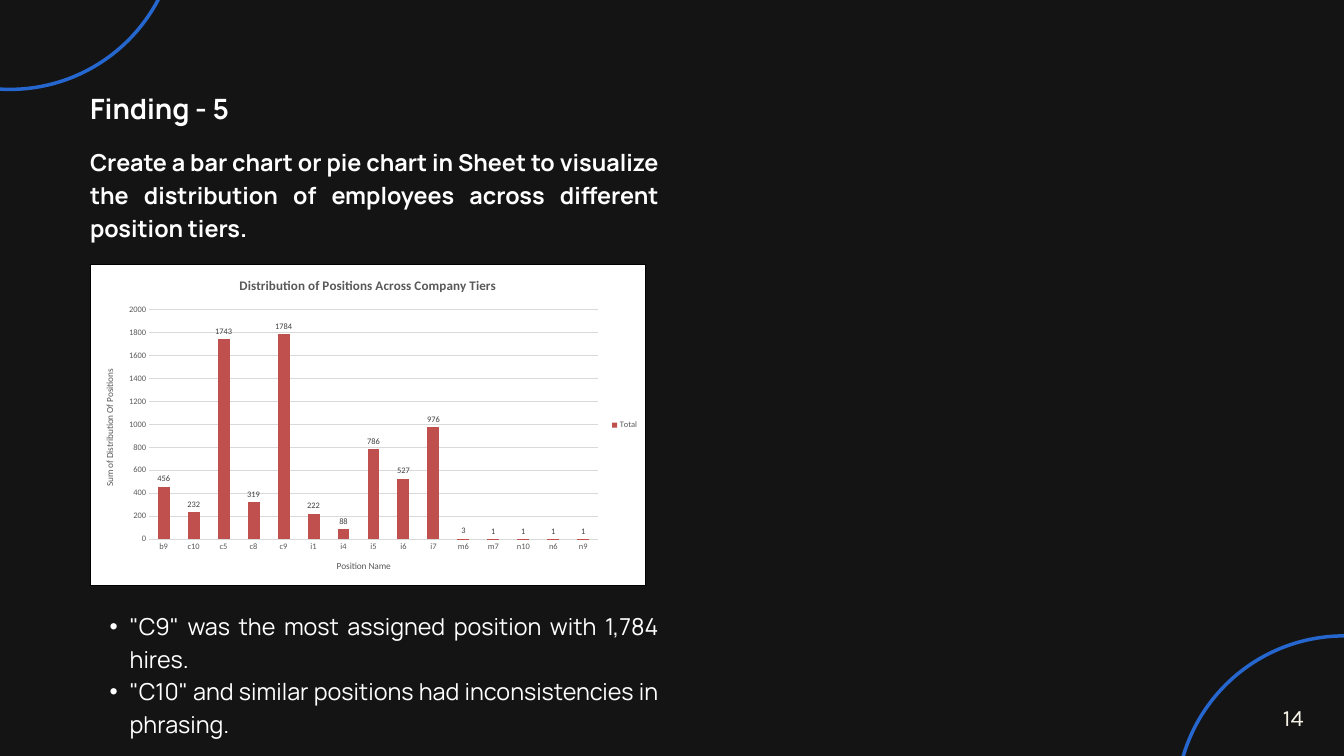
from lxml import etree
from pptx import Presentation
from pptx.chart.data import CategoryChartData
from pptx.dml.color import RGBColor
from pptx.enum.chart import XL_CHART_TYPE, XL_LABEL_POSITION, XL_LEGEND_POSITION, XL_TICK_MARK
from pptx.enum.shapes import MSO_SHAPE
from pptx.enum.text import PP_ALIGN
from pptx.oxml import parse_xml
from pptx.oxml.ns import nsdecls, qn
from pptx.util import Pt

WHITE, INK, BLUE, CREAM = "FFFFFF", "141414", "2666CF", "F5F2E7"
GREY, LABEL_GREY, GRID_GREY, RED, BLACK = "595959", "404040", "D9D9D9", "C0504D", "000000"
POSITIONS = {
    "b9": 456, "c10": 232, "c5": 1743, "c8": 319, "c9": 1784,
    "i1": 222, "i4": 88, "i5": 786, "i6": 527, "i7": 976,
    "m6": 3, "m7": 1, "n10": 1, "n6": 1, "n9": 1,
}


def color(value):
    """Turn a hex string into a colour."""
    return RGBColor.from_string(value)


def style_font(font, size, shade, name, bold=False):
    """Set the size, colour, face and weight of a font."""
    font.size, font.name, font.bold = Pt(size), name, bold
    font.color.rgb = color(shade)


def add_ring(slide, left, top, diameter):
    """Draw an outlined decorative circle."""
    ring = slide.shapes.add_shape(
        MSO_SHAPE.OVAL, Pt(left), Pt(top), Pt(diameter), Pt(diameter))
    ring.shadow.inherit = False
    ring.fill.background()
    ring.line.color.rgb = color(BLUE)
    ring.line.width = Pt(3.75)


def add_bullet(paragraph):
    """Give a paragraph a hanging round bullet."""
    paragraph.level = 1
    properties = paragraph._p.get_or_add_pPr()
    properties.set("marL", str(Pt(42.5)))
    properties.set("indent", str(-Pt(21.6)))
    face = etree.SubElement(properties, qn("a:buFont"))
    face.set("typeface", "Arial")
    mark = etree.SubElement(properties, qn("a:buChar"))
    mark.set("char", "•")


def add_text(slide, box, lines, size=25, spacing=35, shade=WHITE, face="Manrope",
             bold=False, align=PP_ALIGN.JUSTIFY, bulleted=False):
    """Place paragraphs in a box without margins."""
    frame = slide.shapes.add_textbox(*map(Pt, box)).text_frame
    frame.word_wrap = True
    frame.margin_left = frame.margin_top = frame.margin_right = frame.margin_bottom = 0
    for index, line in enumerate(lines):
        paragraph = frame.add_paragraph() if index else frame.paragraphs[0]
        paragraph.alignment = align
        paragraph.line_spacing = Pt(spacing)
        if bulleted:
            add_bullet(paragraph)
        run = paragraph.add_run()
        run.text = line
        style_font(run.font, size, shade, face, bold)


def add_chart_title(owner, wording, size, bold=False):
    """Title a chart or an axis."""
    run = owner.text_frame.paragraphs[0].add_run()
    run.text = wording
    style_font(run.font, size, GREY, "Calibri", bold)


def style_axis(axis, title):
    """Title an axis and hide its line and ticks."""
    axis.major_tick_mark = axis.minor_tick_mark = XL_TICK_MARK.NONE
    axis.format.line.fill.background()
    style_font(axis.tick_labels.font, 9, GREY, "Calibri")
    add_chart_title(axis.axis_title, title, 10)


def frame_chart(chart):
    """Set the plot position, the white ground and the black border."""
    plot_area = chart._chartSpace.chart.plotArea
    for layout in plot_area.findall(qn("c:layout")):
        plot_area.remove(layout)
    plot_area.insert(0, parse_xml(
        f'<c:layout {nsdecls("c")}><c:manualLayout><c:layoutTarget val="inner"/>'
        '<c:xMode val="edge"/><c:yMode val="edge"/><c:x val="0.105"/><c:y val="0.14"/>'
        '<c:w val="0.81"/><c:h val="0.715"/></c:manualLayout></c:layout>'))
    ground = parse_xml(
        f'<c:spPr {nsdecls("c", "a")}><a:solidFill><a:srgbClr val="{WHITE}"/></a:solidFill>'
        f'<a:ln w="{Pt(0.75)}"><a:solidFill><a:srgbClr val="{BLACK}"/></a:solidFill></a:ln></c:spPr>')
    chart._chartSpace.chart.addnext(ground)


def add_positions_chart(slide, box):
    """Chart the number of hires for each position."""
    data = CategoryChartData()
    data.categories = list(POSITIONS)
    data.add_series("Total", list(POSITIONS.values()))
    chart = slide.shapes.add_chart(
        XL_CHART_TYPE.COLUMN_CLUSTERED, *map(Pt, box), data).chart
    style_font(chart.font, 10, BLACK, "Calibri")
    chart.has_title = True
    add_chart_title(chart.chart_title, "Distribution of Positions Across Company Tiers", 14, True)
    chart.chart_title.include_in_layout = False

    style_axis(chart.category_axis, "Position Name")
    style_axis(chart.value_axis, "Sum of Distribution Of Positions")
    grid = chart.value_axis.major_gridlines.format.line
    grid.color.rgb, grid.width = color(GRID_GREY), Pt(0.75)

    chart.has_legend = True
    chart.legend.position = XL_LEGEND_POSITION.RIGHT
    chart.legend.include_in_layout = False
    style_font(chart.legend.font, 9, GREY, "Calibri")

    plot = chart.plots[0]
    plot.gap_width, plot.vary_by_categories = 150, False
    total = plot.series[0]
    total.format.fill.solid()
    total.format.fill.fore_color.rgb = color(RED)
    labels = total.data_labels
    labels.show_value = True
    labels.position = XL_LABEL_POSITION.OUTSIDE_END
    style_font(labels.font, 9, LABEL_GREY, "Calibri")
    frame_chart(chart)


def add_finding(slide, left, top, width):
    """Stack the heading, task, chart and conclusions in one column."""
    add_text(slide, (left, top, width, 42.5), ["Finding - 5"], size=30, spacing=42, bold=True)
    add_text(slide, (left, top + 62, width, 103.7), [
        "Create a bar chart or pie chart in Sheet to visualize the distribution "
        "of employees across different position tiers."], bold=True)
    add_positions_chart(slide, (left, top + 190.8, 595.5, 344.9))
    add_text(slide, (left, top + 558.7, width, 172.8), [
        '"C9" was the most assigned position with 1,784 hires.',
        '"C10" and similar positions had inconsistencies in phrasing.'], bulleted=True)


def main():
    """Build and save the slide."""
    deck = Presentation()
    deck.slide_width, deck.slide_height = Pt(1440), Pt(810)
    slide = deck.slides.add_slide(deck.slide_layouts[6])
    slide.background.fill.solid()
    slide.background.fill.fore_color.rgb = color(INK)
    add_ring(slide, -169.2, -263.5, 359.3)
    add_ring(slide, 1260.4, 681.3, 359.3)
    add_finding(slide, 96.5, 92.2, 609)
    add_text(slide, (1371.6, 748, 28, 33.8), ["14"], shade=CREAM, face="Karla",
             align=PP_ALIGN.CENTER)
    deck.save("out.pptx")


if __name__ == "__main__":
    main()
